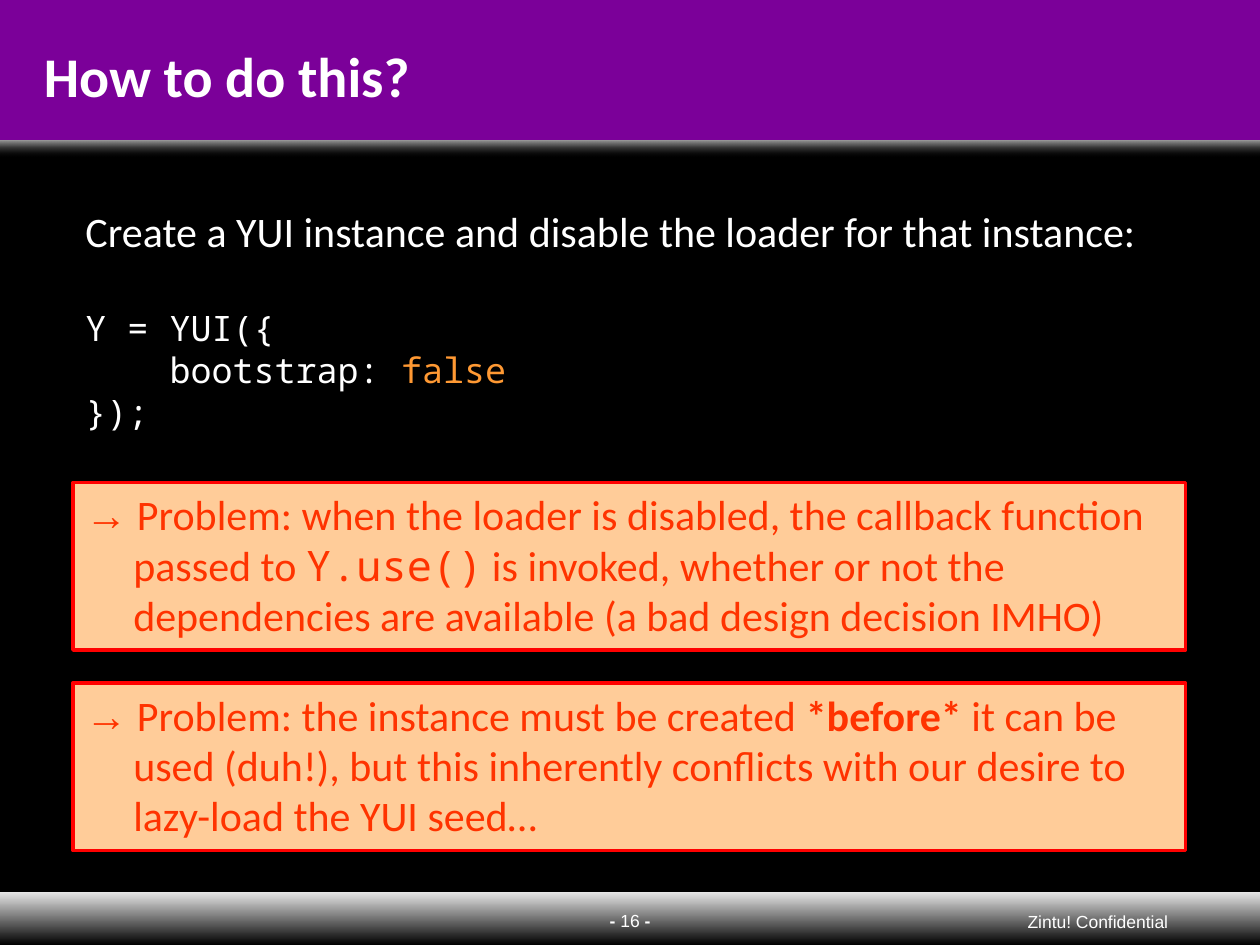
from lxml.etree import SubElement
from pptx import Presentation
from pptx.dml.color import RGBColor
from pptx.enum.shapes import MSO_SHAPE as Shape
from pptx.enum.text import MSO_ANCHOR as Anchor, PP_ALIGN as Align
from pptx.oxml.ns import qn
from pptx.util import Inches, Pt

WHITE, BLACK, PURPLE = "FFFFFF", "000000", "7B0099"
ORANGE, PEACH, RED, WARNING = "FF9933", "FFCC99", "FF0000", "FF3300"
SANS, MONO, ARIAL = "Calibri", "Noto Sans Mono", "Arial"


def color(value):
    return RGBColor.from_string(value)


def add_block(page, left, top, width, height, fill, line=None):
    block = page.shapes.add_shape(
        Shape.RECTANGLE, Inches(left), Inches(top), Inches(width), Inches(height))
    block.shadow.inherit = False
    block.fill.solid()
    block.fill.fore_color.rgb = color(fill)
    if line:
        block.line.color.rgb = color(line)
        block.line.width = Pt(2)
    else:
        block.line.fill.background()
    return block


def add_gradient(page, top, height, start, end, fade=False):
    band = add_block(page, 0, top, 10, height, end)
    band.fill.gradient()
    band.fill.gradient_angle = 270
    stops = band.fill.gradient_stops
    for stop, value in zip(stops, (start, end)):
        stop.color.rgb = color(value)
    if fade:
        last_color = list(band.fill._fill._gradFill.iter(qn("a:srgbClr")))[-1]
        SubElement(last_color, qn("a:alpha")).set("val", "0")


def add_box(page, left, top, width, height):
    return page.shapes.add_textbox(
        Inches(left), Inches(top), Inches(width), Inches(height))


def set_frame(box, anchor=Anchor.TOP, margins=(0.1, 0.05)):
    frame = box.text_frame
    frame.word_wrap = True
    frame.vertical_anchor = anchor
    frame.margin_left = frame.margin_right = Inches(margins[0])
    frame.margin_top = frame.margin_bottom = Inches(margins[1])
    return frame.paragraphs[0]


def format_para(para, align=Align.LEFT, before=0, hanging=0):
    para.alignment = align
    para.space_before = Pt(before)
    if hanging:
        properties = para._p.get_or_add_pPr()
        properties.set("marL", str(Inches(hanging)))
        properties.set("indent", str(-Inches(hanging)))


def add_text(para, text, size=24, font=SANS, fill=WHITE, bold=False):
    span = para.add_run()
    span.text = text
    span.font.size = Pt(size)
    span.font.name = font
    span.font.bold = bold
    span.font.color.rgb = color(fill)


def add_frame_bands(page):
    add_gradient(page, 1.08, 0.17, WHITE, BLACK, fade=True)
    add_block(page, 0, 0, 10, 1.11, PURPLE)
    add_gradient(page, 7.08, 0.42, "E6E6E6", BLACK)


def add_footer(page):
    number = set_frame(add_box(page, 4.74, 7.19, 0.92, 0.25), Anchor.BOTTOM)
    format_para(number)
    for text, bold in (("- ", True), ("16 ", False), ("-", True)):
        add_text(number, text, size=10, font=ARIAL, bold=bold)
    notice = set_frame(add_box(page, 7.27, 7.23, 2, 0.17), margins=(0, 0))
    format_para(notice, align=Align.RIGHT)
    add_text(notice, "Zintu! Confidential", size=10, font=ARIAL)


def add_title(page, text):
    title = set_frame(add_block(page, 0.25, 0.09, 9.58, 0.82, PURPLE), Anchor.BOTTOM)
    format_para(title)
    add_text(title, text, size=32, bold=True)


def add_example(page, intro, code):
    box = add_box(page, 0.58, 1.58, 8.82, 2.17)
    para = set_frame(box)
    format_para(para, hanging=0.38)
    add_text(para, intro)
    for index, line in enumerate(code):
        para = box.text_frame.add_paragraph()
        format_para(para, before=0 if index else 29.3, hanging=0.38)
        for text, fill in line:
            add_text(para, text, size=20, font=MONO, fill=fill)


def add_problem(page, top, spans):
    para = set_frame(add_block(page, 0.58, top, 8.83, 1.33, PEACH, line=RED))
    format_para(para, hanging=0.38)
    add_text(para, "→", font=ARIAL, fill=WARNING)
    for text, options in spans:
        add_text(para, text, fill=WARNING, **options)


def main():
    deck = Presentation()
    deck.slide_width, deck.slide_height = Inches(10), Inches(7.5)
    page = deck.slides.add_slide(deck.slide_layouts[6])
    page.background.fill.solid()
    page.background.fill.fore_color.rgb = color(BLACK)

    add_frame_bands(page)
    add_footer(page)
    add_title(page, "How to do this?")
    add_example(page, "Create a YUI instance and disable the loader for that instance:", [
        [("Y = YUI({", WHITE)],
        [("    bootstrap: ", WHITE), ("false", ORANGE)],
        [("});", WHITE)],
    ])
    add_problem(page, 3.83, [
        (" Problem: when the loader is disabled, the callback function passed to ", {}),
        ("Y.use()", {"font": MONO}),
        (" is invoked, whether or not the dependencies are available"
         " (a bad design decision IMHO)", {}),
    ])
    add_problem(page, 5.42, [
        (" Problem: the instance must be created ", {}),
        ("*before*", {"bold": True}),
        (" it can be used (duh!), but this inherently conflicts with our desire"
         " to lazy-load the YUI seed…", {}),
    ])
    deck.save("out.pptx")


if __name__ == "__main__":
    main()
